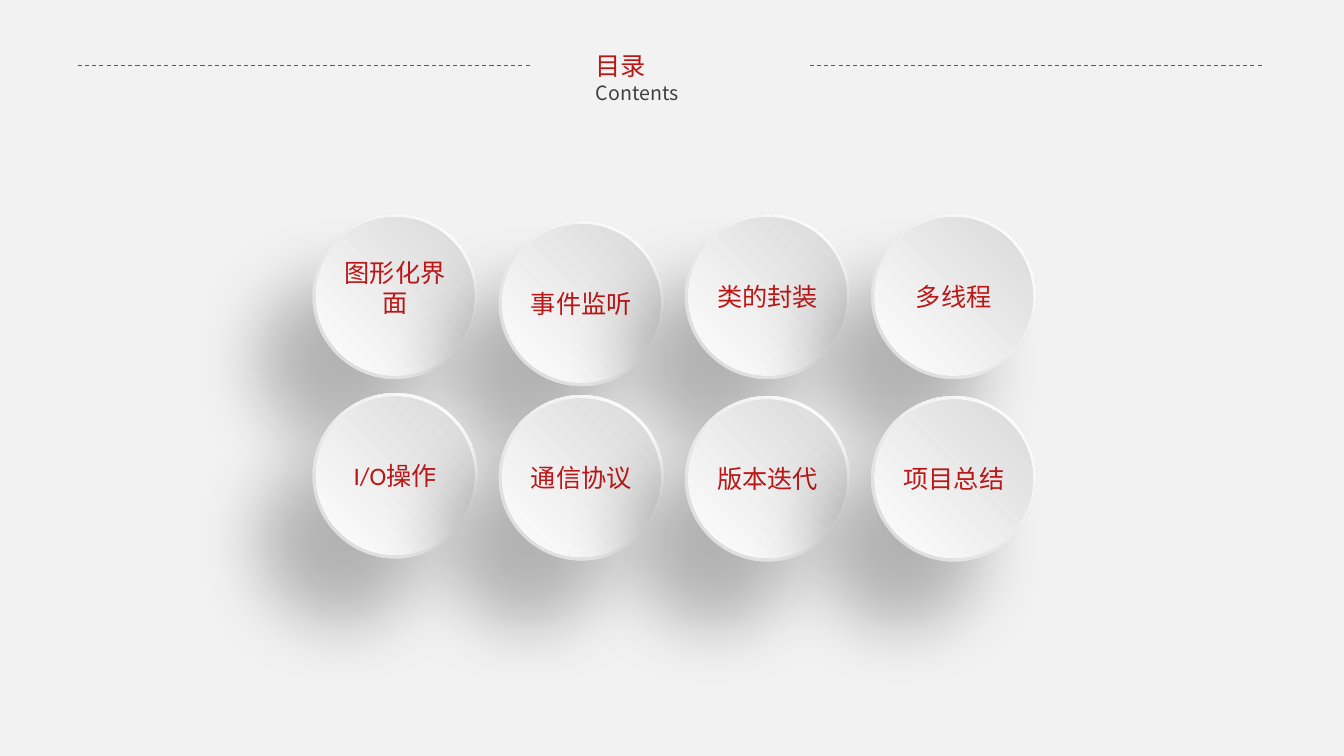
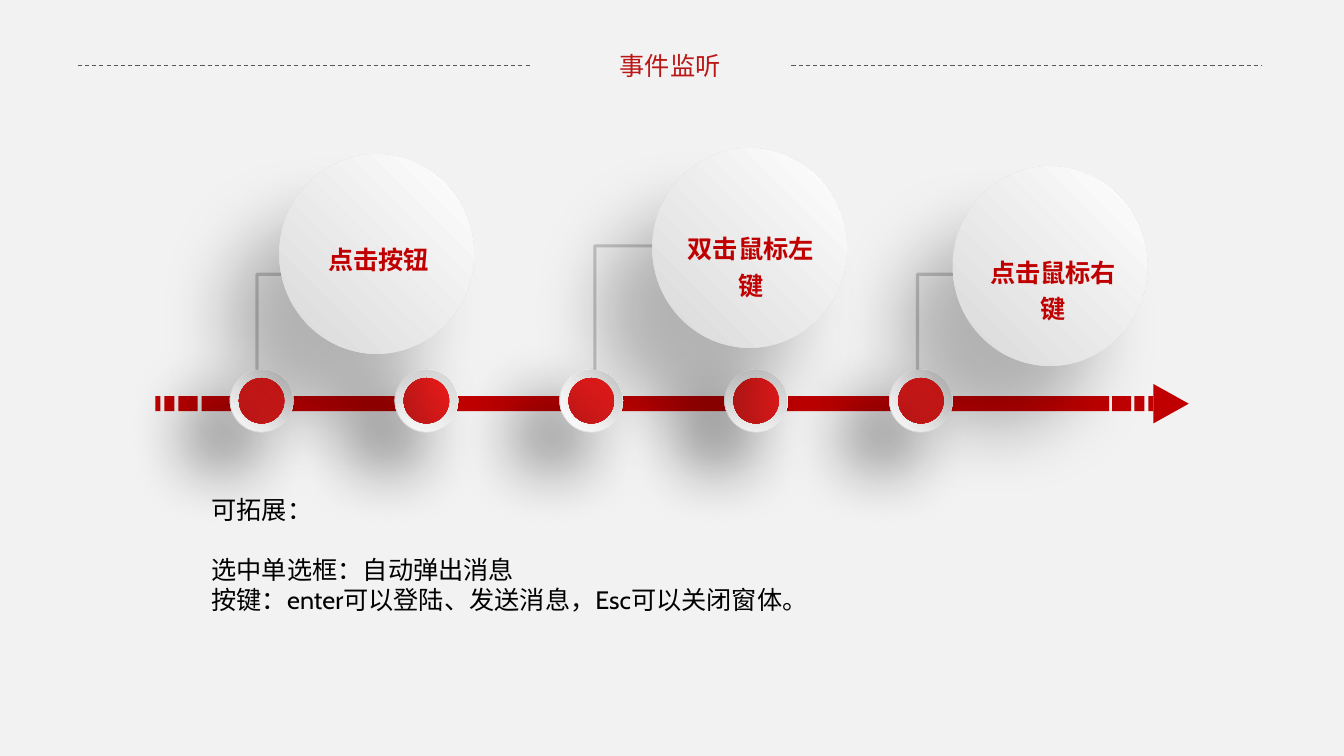
import dataclasses

import pptx
import pptx.dml.color
import pptx.enum.dml
import pptx.enum.shapes
import pptx.enum.text
import pptx.oxml.ns
import pptx.util
from lxml import etree

Inches = pptx.util.Inches
Pt = pptx.util.Pt
SHAPE = pptx.enum.shapes.MSO_SHAPE
CONNECTOR = pptx.enum.shapes.MSO_CONNECTOR
ALIGN = pptx.enum.text.PP_ALIGN
ANCHOR = pptx.enum.text.MSO_ANCHOR
qn = pptx.oxml.ns.qn


@dataclasses.dataclass(frozen=True)
class Theme:
    """Colours, gradients, shadows and type styles shared by the slides."""
    paper: str = "F2F2F2"
    axis: str = "C00000"
    rule: str = "595959"
    east_asian: str = "Noto Sans CJK SC"
    # Gradients run from the first colour at the given corner
    raised: tuple = ("FFFFFF", "D9D9D9", "top right")
    sunken: tuple = ("D9D9D9", "FEFEFE", "top right")
    glow: tuple = ("BB1717", "F11B1B", "bottom left")
    # Opacity %, blur pt, distance pt, direction in degrees
    disc_shadow: tuple = (25, 50, 60, 130)
    node_shadow: tuple = (61, 50, 37, 140)
    styles: dict = dataclasses.field(default_factory=lambda: {
        "title": {"name": "Noto Sans CJK SC", "size": Pt(18), "color": "BB1717"},
        "subtitle": {"name": "Noto Sans CJK SC", "size": Pt(14), "color": "404040"},
        "button": {"name": "Calibri", "size": Pt(18), "color": "BB1717"},
        "disc": {"name": "Noto Sans Mono", "size": Pt(18), "bold": True,
                 "color": "C00000"},
        "body": {"name": "Cabin", "size": Pt(18), "color": "000000"},
    })


THEME = Theme()
CORNERS = {"top right": {"l": "100000", "b": "100000"},
           "bottom left": {"t": "100000", "r": "100000"}}


def rgb(value):
    return pptx.dml.color.RGBColor.from_string(value)


# ---- Shared drawing helpers ----

def add_span(para, text, style):
    span = para.add_run()
    span.text = text
    for key, value in THEME.styles[style].items():
        if key == "color":
            span.font.color.rgb = rgb(value)
        else:
            setattr(span.font, key, value)
    face = etree.SubElement(span._r.get_or_add_rPr(), qn("a:ea"))
    face.set("typeface", THEME.east_asian)
    latin = span._r.rPr.find(qn("a:latin"))
    latin.addnext(face)


def add_text(shapes, box, paragraphs, style, wrap=True, **layout):
    """Place a text box; layout holds paragraph attributes."""
    frame = shapes.add_textbox(*map(Inches, box)).text_frame
    frame.word_wrap = wrap
    for index, text in enumerate(paragraphs):
        para = frame.add_paragraph() if index else frame.paragraphs[0]
        for key, value in layout.items():
            setattr(para, key, value)
        add_span(para, text, style)
    return frame


def add_plain(shapes, kind, box, fill):
    """Place a borderless shape with a solid colour or a gradient."""
    shape = shapes.add_shape(kind, *map(Inches, box))
    shape.shadow.inherit = False
    shape.line.fill.background()
    if isinstance(fill, str):
        shape.fill.solid()
        shape.fill.fore_color.rgb = rgb(fill)
        return shape
    shape.fill.gradient()
    for stop, color in zip(shape.fill.gradient_stops, fill):
        stop.color.rgb = rgb(color)
    gradient = shape._element.spPr.find(qn("a:gradFill"))
    gradient.remove(gradient.find(qn("a:lin")))
    radial = etree.SubElement(gradient, qn("a:path"), {"path": "circle"})
    etree.SubElement(radial, qn("a:fillToRect"), CORNERS[fill[2]])
    return shape


def add_circle(shapes, box, fill, shadow=None, mirrored=False):
    circle = add_plain(shapes, SHAPE.OVAL, box, fill)
    if mirrored:
        circle._element.spPr.xfrm.set("flipH", "1")
    if shadow:
        opacity, blur, distance, direction = shadow
        effects = circle._element.spPr.find(qn("a:effectLst"))
        outer = etree.SubElement(effects, qn("a:outerShdw"), {
            "blurRad": str(Pt(blur)), "dist": str(Pt(distance)),
            "dir": str(direction * 60000), "algn": "tr", "rotWithShape": "0"})
        color = etree.SubElement(outer, qn("a:srgbClr"), {"val": "000000"})
        etree.SubElement(color, qn("a:alpha"), {"val": str(opacity * 1000)})
    return circle


def inset(box, margin):
    left, top, width, height = box
    return left + margin, top + margin, width - 2 * margin, height - 2 * margin


def add_line(shapes, kind, start, end, width):
    line = shapes.add_connector(kind, *map(Inches, (*start, *end)))
    line.line.color.rgb = rgb(THEME.rule)
    line.line.width = Pt(width)
    etree.SubElement(line._element.spPr, qn("a:effectLst"))
    return line


def new_page(deck):
    page = deck.slides.add_slide(deck.slide_layouts[6])
    page.background.fill.solid()
    page.background.fill.fore_color.rgb = rgb(THEME.paper)
    return page


def add_header(page, title_box, title, right_rule, subtitle=None):
    """Title between two dashed rules, with an optional second line."""
    frame = add_text(page.shapes, title_box, [title], "title",
                     wrap=bool(subtitle),
                     alignment=ALIGN.LEFT if subtitle else ALIGN.CENTER)
    if subtitle:
        frame.paragraphs[0].add_line_break()
        add_span(frame.paragraphs[0], subtitle, "subtitle")
    for left, right in ((0.77, 5.26), (right_rule, 12.52)):
        rule = add_line(page.shapes, CONNECTOR.STRAIGHT,
                        (left, 0.65), (right, 0.65), 0.75)
        rule.line.dash_style = pptx.enum.dml.MSO_LINE.DASH


# ---- Contents slide ----

def add_button(page, box, label, lift):
    """Raised round button; lift moves its label up."""
    shapes = page.shapes.add_group_shape().shapes
    add_circle(shapes, box, THEME.raised, THEME.disc_shadow)
    face = add_circle(shapes, inset(box, 0.035), THEME.sunken)
    frame = face.text_frame
    margins = {"margin_left": 0, "margin_right": 0, "margin_top": Inches(0.05),
               "margin_bottom": Inches(0.05 + lift), "word_wrap": True,
               "vertical_anchor": ANCHOR.MIDDLE}
    for key, value in margins.items():
        setattr(frame, key, value)
    frame.paragraphs[0].alignment = ALIGN.CENTER
    add_span(frame.paragraphs[0], label, "button")


def build_contents(deck):
    page = new_page(deck)
    add_header(page, (5.81, 0.45, 1.63, 0.67), "目录", 8.03, "Contents")
    # Label, top of the button, lift of the label
    rows = (
        (("图形化界面", 2.12, 0.18), ("事件监听", 2.19, 0),
         ("类的封装", 2.12, 0), ("多线程", 2.12, 0)),
        (("I/O操作", 3.9, 0), ("通信协议", 3.92, 0),
         ("版本迭代", 3.93, 0), ("项目总结", 3.93, 0)),
    )
    left, last, size = 3.1, 8.64, 1.64
    for row in rows:
        pitch = (last - left) / (len(row) - 1)
        for column, (label, top, lift) in enumerate(row):
            add_button(page, (left + column * pitch, top, size, size), label, lift)


# ---- Event slide ----

def add_axis(page, left, top, height):
    """Arrow whose shaft breaks into dashes at both ends."""
    shapes = page.shapes.add_group_shape().shapes
    dashes = ((0, 0.05), (0.09, 0.1), (0.23, 0.19), (0.46, 9),
              (9.49, 0.19), (9.71, 0.1), (9.85, 0.05))
    for offset, width in dashes:
        add_plain(shapes, SHAPE.RECTANGLE, (left + offset, top, width, height),
                  THEME.axis)
    head = add_plain(shapes, SHAPE.ISOSCELES_TRIANGLE,
                     (left + 9.88, top - 0.1, 0.39, 0.35), THEME.axis)
    head.rotation = 90


def add_node(page, box):
    """Red dot set in a raised ring."""
    shapes = page.shapes.add_group_shape().shapes
    layers = ((0, THEME.raised, THEME.node_shadow),
              (0.01, THEME.sunken, None), (0.09, THEME.glow, None))
    for margin, fill, shadow in layers:
        add_circle(shapes, inset(box, margin), fill, shadow, mirrored=True)


def add_elbow(page, start, end):
    """Grey line that runs left from start, then down to end."""
    elbow = add_line(page.shapes, CONNECTOR.ELBOW, start, end, 2.25)
    outline = elbow._element.spPr
    outline.find(qn("a:prstGeom")).set("prst", "bentConnector2")
    color = outline.find(".//" + qn("a:srgbClr"))
    etree.SubElement(color, qn("a:alpha"), {"val": "30000"})


def add_disc(page, box, label, label_left, label_top):
    left, top, width, height = box
    add_circle(page.shapes, box, THEME.raised, THEME.disc_shadow)
    add_text(page.shapes, (left + label_left, top + label_top, 1.63, 0.82),
             [label], "disc", alignment=ALIGN.CENTER, line_spacing=1.2)


def build_events(deck):
    page = new_page(deck)
    add_axis(page, 1.54, 3.93, 0.15)
    add_header(page, (6.04, 0.45, 1.21, 0.4), "事件监听", 7.85)

    # Nodes along the axis
    first, last, count = 2.28, 8.82, 5
    for index in range(count):
        left = first + index * (last - first) / (count - 1)
        add_node(page, (left, 3.66, 0.63, 0.63))

    # Links from the discs down to the nodes
    for start, end_left in (((2.91, 2.72), 2.55), ((6.49, 2.44), 5.9),
                            ((9.45, 2.72), 9.1)):
        add_elbow(page, start, (end_left, 3.67))

    # Event discs: left, top, label, label offset
    discs = ((2.77, 1.53, "点击按钮", 0.17, 0.78),
             (6.47, 1.47, "双击鼠标左键", 0.16, 0.74),
             (9.45, 1.65, "点击鼠标右键", 0.18, 0.79))
    for left, top, label, label_left, label_top in discs:
        add_disc(page, (left, top, 1.93, 1.98), label, label_left, label_top)

    # Notes on extensions
    notes = add_text(page.shapes, (2, 4.85, 9.62, 1.31), [
        "可拓展：",
        "选中单选框：自动弹出消息",
        "按键：enter可以登陆、发送消息，Esc可以关闭窗体。"], "body")
    notes.paragraphs[1].space_before = Pt(21.5)


def main():
    deck = pptx.Presentation()
    deck.slide_width, deck.slide_height = Inches(13.33), Inches(7.5)
    build_contents(deck)
    build_events(deck)
    deck.save("out.pptx")


if __name__ == "__main__":
    main()
